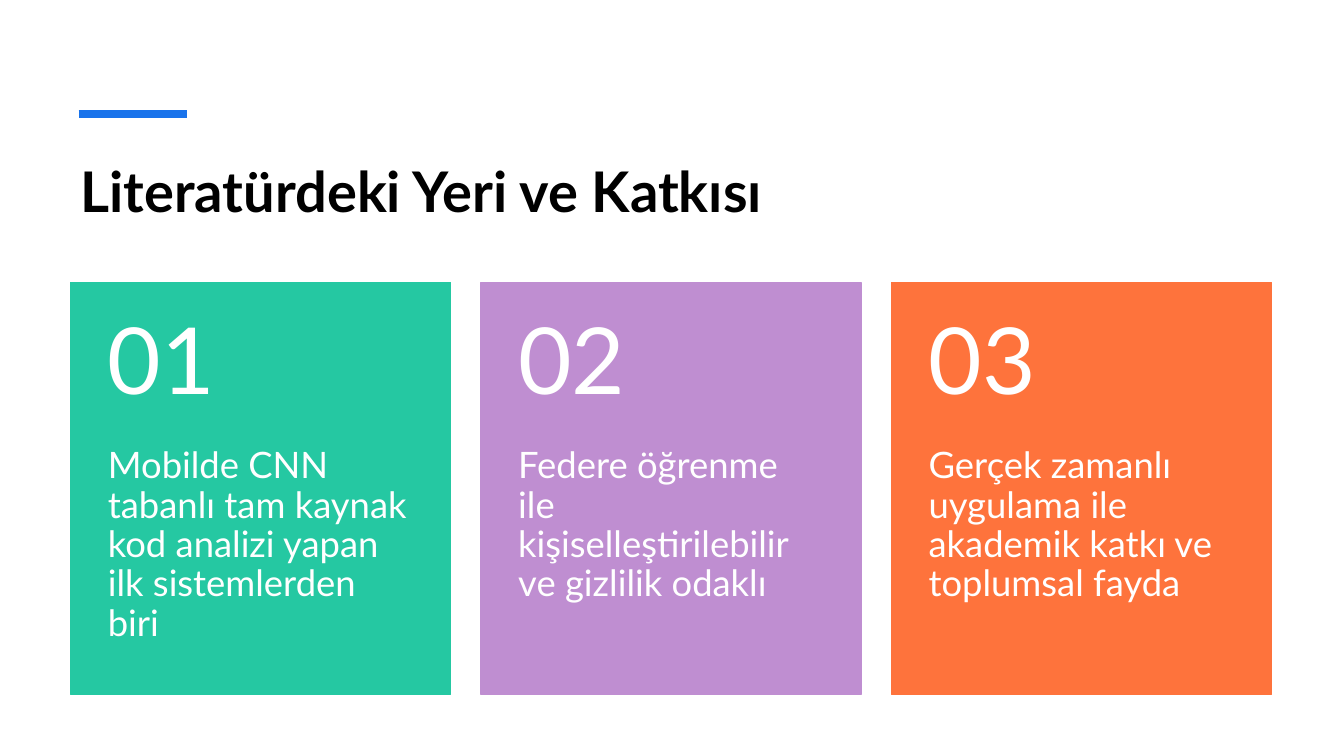
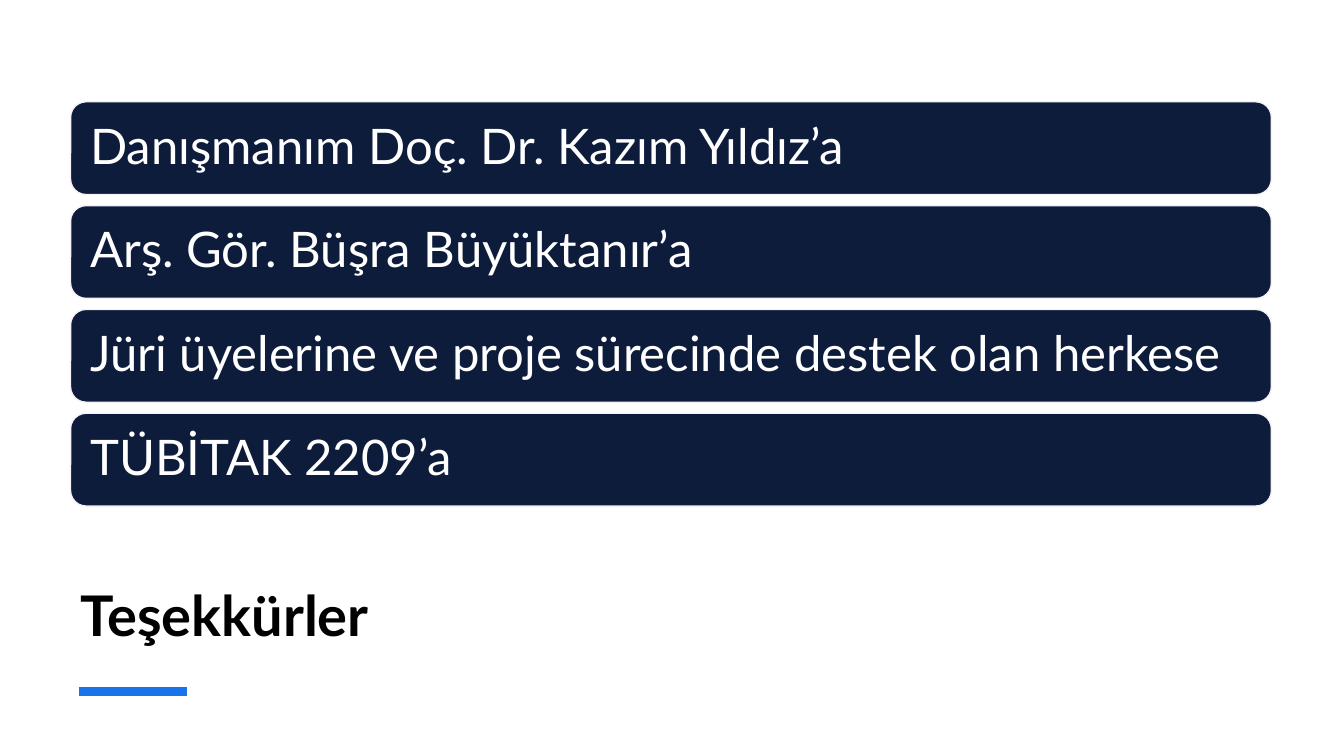
from dataclasses import dataclass

from lxml.etree import SubElement
from pptx import Presentation
from pptx.dml.color import RGBColor
from pptx.enum.shapes import MSO_CONNECTOR, MSO_SHAPE
from pptx.enum.text import MSO_ANCHOR, PP_ALIGN
from pptx.oxml.ns import qn
from pptx.util import Inches, Pt

FONT = "Lato"
COLORS = {
    "background": "FFFFFF",
    "title": "000000",
    "accent": "1973EB",
    "text": "FFFFFF",
    "green": "25C8A2",
    "purple": "BF8ED1",
    "orange": "FE733C",
    "navy": "0D1C3B",
    "bar_line": "F5F2F9",
}

LEFT, CONTENT_WIDTH = 0.7, 11.91
ACCENT_LEFT, ACCENT_RIGHT = 0.78, 1.85

CARD_TOP, CARD_WIDTH, CARD_HEIGHT, CARD_GAP = 2.8, 3.77, 4.09, 0.3
NUMBER_HEIGHT, CARD_MARGIN = 1.64, 0.37

BAR_TOP, BAR_HEIGHT, BAR_STEP, BAR_MARGIN = 1.01, 0.92, 1.03, 0.15


@dataclass(frozen=True)
class Card:
    text: str
    color: str


@dataclass(frozen=True)
class Heading:
    text: str
    top: float
    height: float
    anchor: MSO_ANCHOR
    accent_y: float


CONTRIBUTION_HEADING = Heading("Literatürdeki Yeri ve Katkısı", 1.5, 1.2, MSO_ANCHOR.TOP, 1.13)
THANKS_HEADING = Heading("Teşekkürler", 5.31, 1.17, MSO_ANCHOR.BOTTOM, 6.86)

CARDS = [
    Card("Mobilde CNN tabanlı tam kaynak kod analizi yapan ilk sistemlerden biri", "green"),
    Card("Federe öğrenme ile kişiselleştirilebilir ve gizlilik odaklı", "purple"),
    Card("Gerçek zamanlı uygulama ile akademik katkı ve toplumsal fayda", "orange"),
]

THANKED = [
    "Danışmanım Doç. Dr. Kazım Yıldız’a",
    "Arş. Gör. Büşra Büyüktanır’a",
    "Jüri üyelerine ve proje sürecinde destek olan herkese",
    "TÜBİTAK 2209’a",
]


def rgb(name: str) -> RGBColor:
    return RGBColor.from_string(COLORS[name])


def set_text(shape, text: str, size: float, anchor: MSO_ANCHOR, color: str = "text",
             bold: bool = False, line_spacing: float = 0.9) -> None:
    frame = shape.text_frame
    frame.word_wrap = True
    frame.vertical_anchor = anchor
    frame.text = text
    paragraph = frame.paragraphs[0]
    paragraph.alignment = PP_ALIGN.LEFT
    paragraph.line_spacing = line_spacing
    paragraph.font.name = FONT
    paragraph.font.size = Pt(size)
    paragraph.font.bold = bold
    paragraph.font.color.rgb = rgb(color)


def set_margins(shape, left: float, top: float, right: float, bottom: float) -> None:
    frame = shape.text_frame
    frame.margin_left, frame.margin_top = Inches(left), Inches(top)
    frame.margin_right, frame.margin_bottom = Inches(right), Inches(bottom)


def add_panel(slide, kind: MSO_SHAPE, left: float, top: float, width: float, height: float,
              fill: str, line: str):
    shape = slide.shapes.add_shape(kind, Inches(left), Inches(top), Inches(width), Inches(height))
    shape.shadow.inherit = False
    shape.fill.solid()
    shape.fill.fore_color.rgb = rgb(fill)
    shape.line.color.rgb = rgb(line)
    shape.line.width = Pt(1)
    return shape


def add_headed_slide(presentation, heading: Heading):
    """Add a slide with its title and the short accent line."""
    slide = presentation.slides.add_slide(presentation.slide_layouts.get_by_name("Title Only"))
    slide.background.fill.solid()
    slide.background.fill.fore_color.rgb = rgb("background")

    title = slide.shapes.title
    title.left, title.top = Inches(LEFT), Inches(heading.top)
    title.width, title.height = Inches(CONTENT_WIDTH), Inches(heading.height)
    set_text(title, heading.text, 40, heading.anchor, "title", bold=True, line_spacing=1.0)

    accent = slide.shapes.add_connector(
        MSO_CONNECTOR.STRAIGHT, Inches(ACCENT_LEFT), Inches(heading.accent_y),
        Inches(ACCENT_RIGHT), Inches(heading.accent_y))
    accent.line.color.rgb = rgb("accent")
    accent.line.width = Pt(6)
    SubElement(accent._element.spPr, qn("a:effectLst"))
    return slide


def add_card(slide, index: int, card: Card) -> None:
    left = LEFT + index * (CARD_WIDTH + CARD_GAP)
    panel = add_panel(slide, MSO_SHAPE.RECTANGLE, left, CARD_TOP, CARD_WIDTH, CARD_HEIGHT,
                      card.color, card.color)
    set_margins(panel, CARD_MARGIN, NUMBER_HEIGHT, CARD_MARGIN, 0.36)
    set_text(panel, card.text, 26, MSO_ANCHOR.TOP)

    number = slide.shapes.add_textbox(
        Inches(left), Inches(CARD_TOP), Inches(CARD_WIDTH), Inches(NUMBER_HEIGHT))
    set_margins(number, CARD_MARGIN, 0.18, CARD_MARGIN, 0.18)
    set_text(number, f"{index + 1:02}", 66, MSO_ANCHOR.MIDDLE)


def add_bar(slide, index: int, text: str) -> None:
    bar = add_panel(slide, MSO_SHAPE.ROUNDED_RECTANGLE, LEFT, BAR_TOP + index * BAR_STEP,
                    CONTENT_WIDTH, BAR_HEIGHT, "navy", "bar_line")
    set_margins(bar, BAR_MARGIN, BAR_MARGIN, BAR_MARGIN, BAR_MARGIN)
    set_text(bar, text, 35, MSO_ANCHOR.MIDDLE)


def main() -> None:
    presentation = Presentation()
    presentation.slide_width, presentation.slide_height = Inches(13.33), Inches(7.5)

    contribution_slide = add_headed_slide(presentation, CONTRIBUTION_HEADING)
    for index, card in enumerate(CARDS):
        add_card(contribution_slide, index, card)

    thanks_slide = add_headed_slide(presentation, THANKS_HEADING)
    for index, text in enumerate(THANKED):
        add_bar(thanks_slide, index, text)

    presentation.save("out.pptx")


if __name__ == "__main__":
    main()
